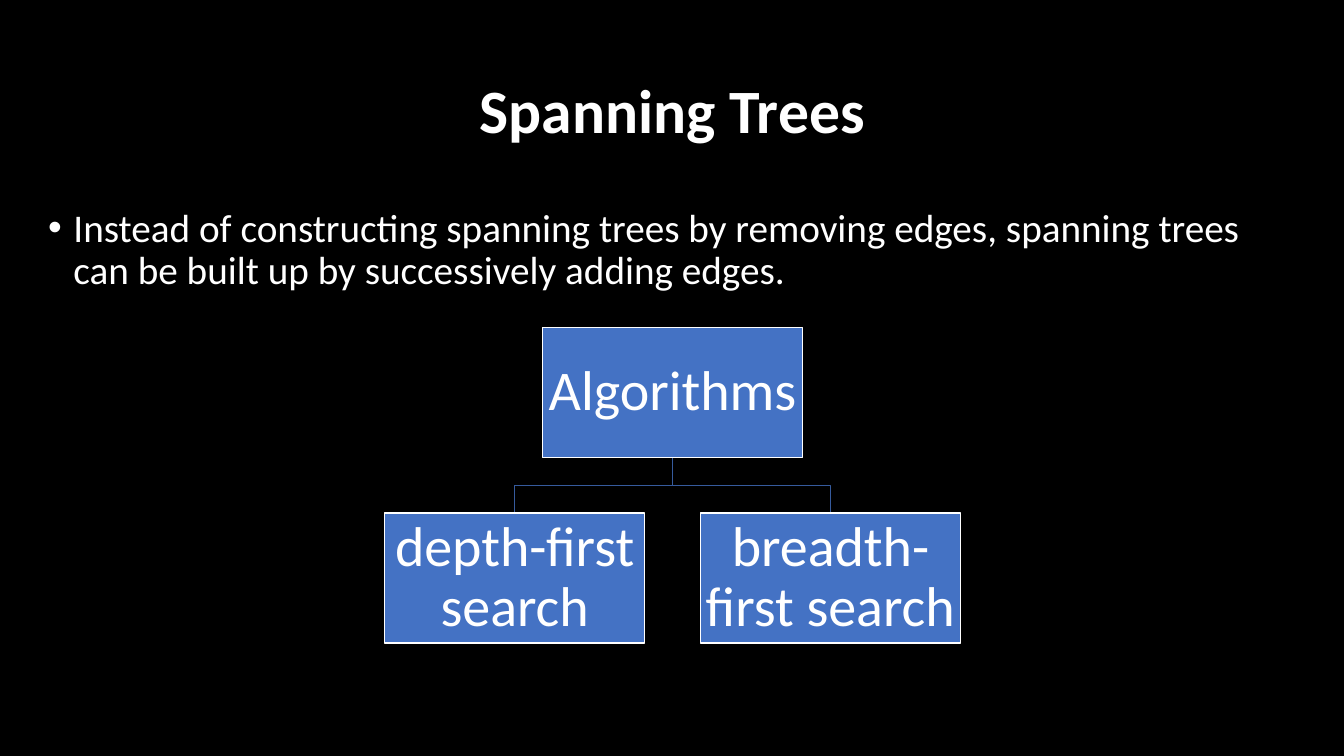
"""Builds a slide on spanning trees with a small hierarchy of search algorithms."""
from dataclasses import dataclass

from lxml import etree
from pptx import Presentation
from pptx import util as u
from pptx.dml.color import RGBColor
from pptx.enum import shapes, text
from pptx.oxml.ns import qn

COLORS = {"background": "000000", "text": "FFFFFF", "node": "4472C4", "branch": "365B9D"}
FONT = "Calibri"
NODE_WIDTH, NODE_HEIGHT = 2.58, 1.29
ROOT_CENTER, ROOT_TOP = 6.67, 3.25
LEAF_TOP, LEAF_PITCH = 5.09, 3.13


@dataclass(frozen=True)
class Node:
    label: str
    center: float
    top: float


def color(name: str) -> RGBColor:
    return RGBColor.from_string(COLORS[name])


def write(shape, wording: str, size: float, bold: bool = False, inset: float | None = None,
          anchor=text.MSO_ANCHOR.MIDDLE, align=text.PP_ALIGN.CENTER):
    frame = shape.text_frame
    frame_format = {"word_wrap": True, "vertical_anchor": anchor}
    if inset is not None:
        frame_format |= {f"margin_{side}": u.Inches(inset)
                         for side in ("left", "right", "top", "bottom")}
    paragraph = frame.paragraphs[0]
    run = paragraph.add_run()
    run.text = wording
    run.font.color.rgb = color("text")
    for target, values in (
        (frame, frame_format),
        (paragraph, {"alignment": align, "line_spacing": 0.9}),
        (run.font, {"name": FONT, "size": u.Pt(size), "bold": bold}),
    ):
        for attribute, value in values.items():
            setattr(target, attribute, value)
    return paragraph


def add_textbox(slide, left: float, top: float, width: float, height: float):
    return slide.shapes.add_textbox(*map(u.Inches, (left, top, width, height)))


def add_bullet(paragraph, indent: float) -> None:
    properties = paragraph._p.get_or_add_pPr()
    properties.set("marL", str(u.Inches(indent)))
    properties.set("indent", str(-u.Inches(indent)))
    etree.SubElement(properties, qn("a:buFont"), typeface="Arial")
    etree.SubElement(properties, qn("a:buChar"), char="•")


def outline(shape, name: str) -> None:
    shape.shadow.inherit = False
    shape.line.color.rgb = color(name)
    shape.line.width = u.Pt(1)


def draw_branch(slide, parent: Node, child: Node) -> None:
    start = parent.top + NODE_HEIGHT
    middle = (start + child.top) / 2
    corners = [(parent.center, middle), (child.center, middle), (child.center, child.top)]
    builder = slide.shapes.build_freeform(u.Inches(parent.center), u.Inches(start))
    builder.add_line_segments([(u.Inches(x), u.Inches(y)) for x, y in corners], close=False)
    branch = builder.convert_to_shape()
    branch.fill.background()
    outline(branch, "branch")


def draw_node(slide, node: Node) -> None:
    box = slide.shapes.add_shape(
        shapes.MSO_SHAPE.RECTANGLE,
        *map(u.Inches, (node.center - NODE_WIDTH / 2, node.top, NODE_WIDTH, NODE_HEIGHT)))
    box.fill.solid()
    box.fill.fore_color.rgb = color("node")
    outline(box, "text")
    write(box, node.label, 40, inset=0.03)


def main() -> None:
    deck = Presentation()
    deck.slide_width, deck.slide_height = u.Inches(13.33), u.Inches(7.5)
    slide = deck.slides.add_slide(deck.slide_layouts[6])
    slide.background.fill.solid()
    slide.background.fill.fore_color.rgb = color("background")

    write(add_textbox(slide, 0.92, 0.4, 11.5, 1.45), "Spanning Trees", 44, bold=True)
    statement = write(
        add_textbox(slide, 0.38, 2.02, 12.58, 4.76),
        "Instead of constructing spanning trees by removing edges, "
        "spanning trees can be built up by successively adding edges.",
        28, anchor=text.MSO_ANCHOR.TOP, align=text.PP_ALIGN.LEFT)
    statement.space_before = u.Pt(10)
    add_bullet(statement, 0.25)

    root = Node("Algorithms", ROOT_CENTER, ROOT_TOP)
    leaves = [Node(label, ROOT_CENTER + side * LEAF_PITCH / 2, LEAF_TOP)
              for label, side in (("depth-first search", -1), ("breadth-first search", 1))]
    for leaf in reversed(leaves):
        draw_branch(slide, root, leaf)
    for node in (root, *leaves):
        draw_node(slide, node)
    deck.save("out.pptx")


if __name__ == "__main__":
    main()
